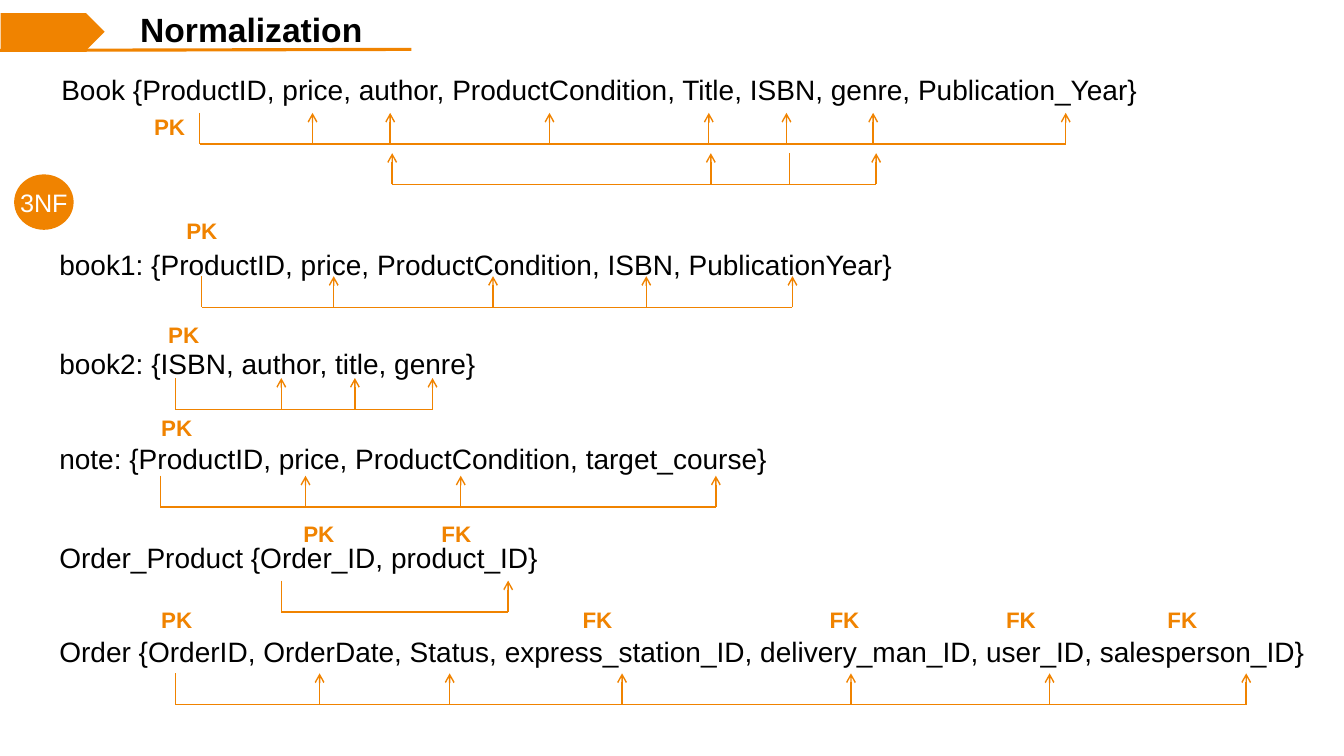
from dataclasses import dataclass

from lxml import etree
from pptx import Presentation
from pptx.dml.color import RGBColor
from pptx.enum.shapes import MSO_CONNECTOR, MSO_SHAPE
from pptx.enum.text import MSO_ANCHOR, PP_ALIGN
from pptx.oxml.ns import qn
from pptx.util import Inches, Pt

STRAIGHT = MSO_CONNECTOR.STRAIGHT
PENTAGON, OVAL = MSO_SHAPE.PENTAGON, MSO_SHAPE.OVAL
LEFT, CENTER = PP_ALIGN.LEFT, PP_ALIGN.CENTER
TOP, MIDDLE = MSO_ANCHOR.TOP, MSO_ANCHOR.MIDDLE

ORANGE = RGBColor(0xF0, 0x83, 0x00)
BLACK = RGBColor(0x00, 0x00, 0x00)
WHITE = RGBColor(0xFF, 0xFF, 0xFF)

FONT = "Arial"
ARROW_LENGTH = 0.31


@dataclass
class Dependency:
    """A bracket from a determinant to its attributes, offset from its relation."""
    base: float
    stem: float
    arrows: tuple


@dataclass
class Relation:
    """A relation schema with its box, key labels and dependencies."""
    text: str
    box: tuple
    key_offset: float
    keys: tuple
    dependencies: tuple


RELATIONS = (
    Relation(
        "Book {ProductID, price, author, ProductCondition, Title, ISBN, genre, Publication_Year}",
        (0.51, 0.67, 11.97, 0.44), 0.4, (("PK", 0.92),),
        (Dependency(0.76, 1.47, (2.59, 3.36, 4.94, 6.52, 7.29, 8.15, 10.06)),
         Dependency(1.16, 7.32, (3.38, 6.54, 8.18)))),
    Relation(
        "book1: {ProductID, price, ProductCondition, ISBN, PublicationYear}",
        (0.49, 2.41, 10.43, 0.44), -0.3, (("PK", 1.26),),
        (Dependency(0.64, 1.51, (2.82, 4.4, 5.92, 7.37)),)),
    Relation(
        "book2: {ISBN, author, title, genre}",
        (0.49, 3.39, 9.92, 0.4), -0.25, (("PK", 1.08),),
        (Dependency(0.67, 1.25, (2.3, 3.03, 3.8)),)),
    Relation(
        "note: {ProductID, price, ProductCondition, target_course}",
        (0.49, 4.33, 9, 0.44), -0.27, (("PK", 1.01),),
        (Dependency(0.7, 1.1, (2.54, 4.08, 6.61)),)),
    Relation(
        "Order_Product {Order_ID, product_ID}",
        (0.49, 5.31, 7.05, 0.4), -0.2, (("PK", 2.42), ("FK", 3.79)),
        (Dependency(0.76, 2.3, (4.55,)),)),
    Relation(
        "Order {OrderID, OrderDate, Status, express_station_ID, delivery_man_ID, user_ID, salesperson_ID}",
        (0.49, 6.25, 12.71, 0.44), -0.29,
        (("PK", 1.01), ("FK", 5.19), ("FK", 7.64), ("FK", 9.39), ("FK", 10.99)),
        (Dependency(0.74, 1.25, (2.68, 3.97, 5.68, 7.95, 9.92, 11.87)),)),
)


def write_text(shape, text, size, color, bold=False, align=LEFT, anchor=TOP):
    """Fill a shape with one formatted paragraph."""
    frame = shape.text_frame
    frame.word_wrap = True
    frame.vertical_anchor = anchor
    frame.text = text
    paragraph = frame.paragraphs[0]
    paragraph.alignment = align
    font = paragraph.font
    font.name, font.size, font.bold = FONT, Pt(size), bold
    font.color.rgb = color


def add_label(slide, box, text, size, color, bold=False):
    """Add a text box at the given box."""
    label = slide.shapes.add_textbox(*map(Inches, box))
    write_text(label, text, size, color, bold)


def add_line(slide, start, end, width=1, arrow=False):
    """Add an orange line, optionally with an open arrowhead at its end."""
    line = slide.shapes.add_connector(STRAIGHT, *map(Inches, start + end))
    line.line.color.rgb = ORANGE
    line.line.width = Pt(width)
    if arrow:
        outline = line.line._get_or_add_ln()
        etree.SubElement(outline, qn("a:tailEnd"), type="arrow")
    etree.SubElement(line._element.spPr, qn("a:effectLst"))


def add_orange_shape(slide, kind, box):
    """Add an orange preset shape without shadow."""
    shape = slide.shapes.add_shape(kind, *map(Inches, box))
    shape.shadow.inherit = False
    shape.fill.solid()
    shape.fill.fore_color.rgb = ORANGE
    return shape


def add_header(slide, box):
    """Place the tag, underline and title inside the header box."""
    left, top, width, height = box
    tag = add_orange_shape(slide, PENTAGON, (left, top + 0.08, 1.05, 0.39))
    tag.line.color.rgb = WHITE
    tag.line.width = Pt(1)
    add_line(slide, (left, top + 0.46), (left + width, top + 0.45), 2.25)
    title = slide.shapes.title
    title.left, title.top = Inches(left + 1.29), Inches(top)
    title.width, title.height = Inches(3), Inches(height)
    write_text(title, "Normalization", 24, BLACK, bold=True)


def add_badge(slide, box):
    """Place the normal form badge."""
    badge = add_orange_shape(slide, OVAL, box)
    badge.line.fill.background()
    write_text(badge, "3NF", 18, WHITE, align=CENTER, anchor=MIDDLE)
    frame = badge.text_frame
    frame.word_wrap = False
    frame.margin_left = frame.margin_right = frame.margin_top = frame.margin_bottom = 0


def add_dependency(slide, left, top, dependency):
    """Draw the bar, stem and arrows of one dependency."""
    base = top + dependency.base
    tip = base - ARROW_LENGTH
    ends = (dependency.stem, *dependency.arrows)
    add_line(slide, (left + min(ends), base), (left + max(ends), base))
    stem = left + dependency.stem
    add_line(slide, (stem, tip), (stem, base))
    for offset in dependency.arrows:
        add_line(slide, (left + offset, base), (left + offset, tip), arrow=True)


def add_relation(slide, relation):
    """Place a relation with its dependencies and key labels."""
    left, top = relation.box[:2]
    add_label(slide, relation.box, relation.text, 20, BLACK)
    for dependency in relation.dependencies:
        add_dependency(slide, left, top, dependency)
    for key, offset in relation.keys:
        key_box = (left + offset, top + relation.key_offset, 0.62, 0.37)
        add_label(slide, key_box, key, 16, ORANGE, bold=True)


def main():
    """Build the normalization slide."""
    deck = Presentation()
    deck.slide_width, deck.slide_height = Inches(13.33), Inches(7.5)
    slide = deck.slides.add_slide(deck.slide_layouts[5])
    add_header(slide, (0, 0.04, 4.08, 0.5))
    add_badge(slide, (0.14, 1.73, 0.59, 0.55))
    for relation in RELATIONS:
        add_relation(slide, relation)
    deck.save("out.pptx")


if __name__ == "__main__":
    main()
